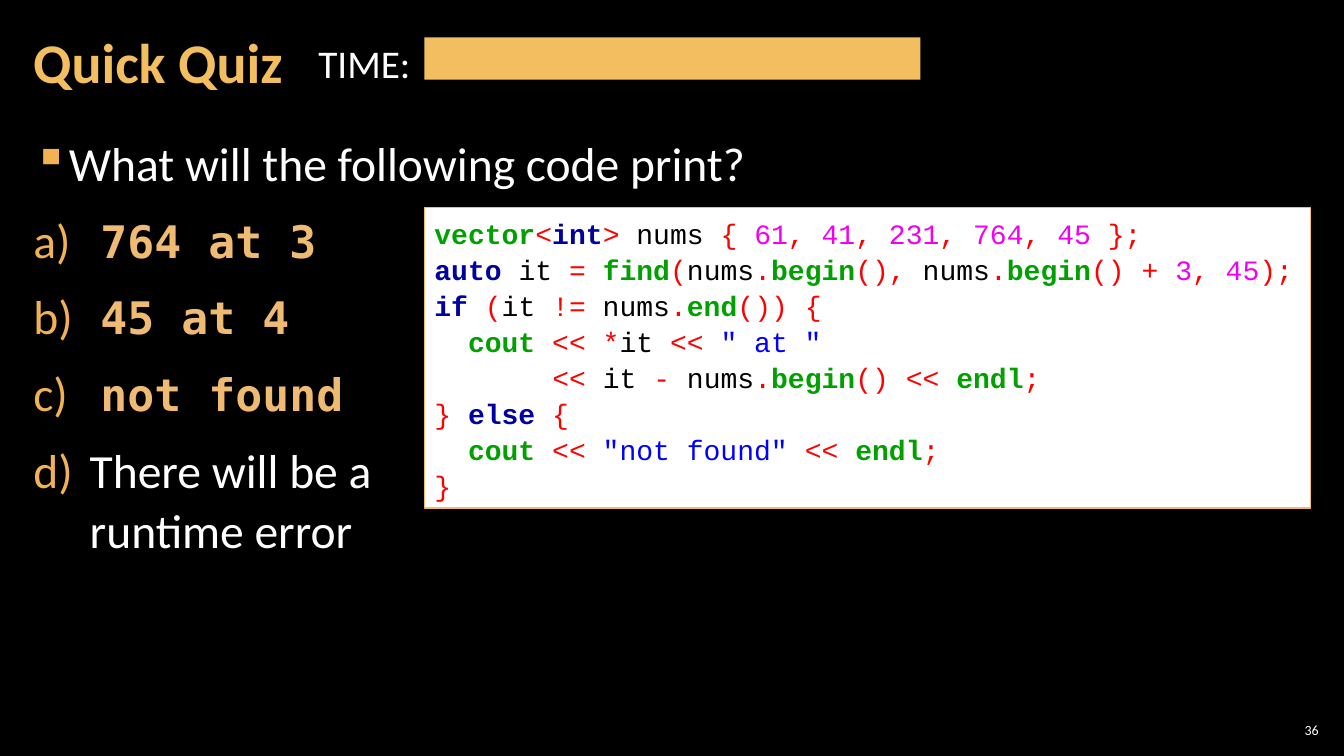
import dataclasses
import itertools

import pptx
import pptx.dml.color
import pptx.enum.shapes
import pptx.enum.text
import pptx.util
from lxml import etree

Inches = pptx.util.Inches
Pt = pptx.util.Pt
Anchor = pptx.enum.text.MSO_ANCHOR
Align = pptx.enum.text.PP_ALIGN
RECTANGLE = pptx.enum.shapes.MSO_SHAPE.RECTANGLE
DRAWING = "{http://schemas.openxmlformats.org/drawingml/2006/main}"


@dataclasses.dataclass(frozen=True)
class Theme:
    background: str = "000000"
    text: str = "FFFFFF"
    accent: str = "F3BE60"
    marker: str = "F2B254"
    answer: str = "EFBB72"
    panel: str = "FFFFFF"
    plain: str = "000000"
    symbol: str = "FF0000"
    keyword: str = "0000A0"
    library: str = "00A000"
    number: str = "F000F0"
    string: str = "0000FF"
    body_font: str = "Calibri"
    answer_font: str = "DejaVu Sans Mono"
    code_font: str = "Courier New"
    title_size: int = 40
    body_size: int = 34
    answer_size: int = 32
    timer_size: int = 28
    code_size: int = 20
    number_size: int = 10


THEME = Theme()
KEYWORDS = {"int", "auto", "if", "else"}
LIBRARY = {"vector", "find", "begin", "end", "cout", "endl"}

QUESTION = "What will the following code print?"
CODE_ANSWERS = ["764 at 3", "45 at 4", "not found"]
LAST_ANSWER = "There will be a \vruntime error"
CODE = """\
vector<int> nums { 61, 41, 231, 764, 45 };
auto it = find(nums.begin(), nums.begin() + 3, 45);
if (it != nums.end()) {
  cout << *it << " at "
       << it - nums.begin() << endl;
} else {
  cout << "not found" << endl;
}"""


def rgb(value):
    return pptx.dml.color.RGBColor.from_string(value)


def style(font, size, color, name=THEME.body_font, bold=False):
    font.name, font.size, font.bold = name, Pt(size), bold
    font.color.rgb = rgb(color)


def add_text_frame(page, left, top, width, height, side=0.12, edge=0.04,
                   anchor=Anchor.TOP, wrap=True):
    box = page.shapes.add_textbox(Inches(left), Inches(top), Inches(width), Inches(height))
    frame = box.text_frame
    frame.margin_left = frame.margin_right = Inches(side)
    frame.margin_top = frame.margin_bottom = Inches(edge)
    frame.vertical_anchor, frame.word_wrap = anchor, wrap
    return frame


def add_panel(page, left, top, width, height, fill):
    panel = page.shapes.add_shape(
        RECTANGLE, Inches(left), Inches(top), Inches(width), Inches(height))
    panel.shadow.inherit = False
    panel.fill.solid()
    panel.fill.fore_color.rgb = rgb(fill)
    panel.line.fill.background()
    return panel


def next_paragraph(frame, index):
    return frame.paragraphs[0] if index == 0 else frame.add_paragraph()


def set_marker(para, indent, tag, **attributes):
    """Give the paragraph a hanging bullet or number in the marker colour."""
    para.line_spacing = 1.05
    para.space_before = para.space_after = Pt(6)
    properties = para._p.get_or_add_pPr()
    properties.set("marL", str(Inches(indent)))
    properties.set("indent", str(-Inches(indent)))
    color = etree.SubElement(properties, DRAWING + "buClr")
    etree.SubElement(color, DRAWING + "srgbClr", val=THEME.marker)
    etree.SubElement(properties, DRAWING + tag, **attributes)


def add_title(page, left, top, width, height):
    frame = add_text_frame(page, left, top, width, height, anchor=Anchor.MIDDLE)
    para = frame.paragraphs[0]
    para.text, para.line_spacing = "Quick Quiz", 0.9
    style(para.font, THEME.title_size, THEME.accent, bold=True)


def add_timer(page, left, top, width, height):
    """Place the time label and the bar that fills the rest of the width."""
    label_width = 1.15
    frame = add_text_frame(page, left, top, label_width, height,
                           side=0.1, edge=0.05, wrap=False)
    para = frame.paragraphs[0]
    para.text = "TIME:"
    style(para.font, THEME.timer_size, THEME.text)
    add_panel(page, left + label_width, top + 0.03, width - label_width, 0.42, THEME.accent)


def add_question(page, left, top, width, height):
    frame = add_text_frame(page, left, top, width, height)
    for index, wording in enumerate([QUESTION, *CODE_ANSWERS, LAST_ANSWER]):
        para = next_paragraph(frame, index)
        if index == 0:
            set_marker(para, 0.33, "buChar", char="▪")
        else:
            set_marker(para, 0.56, "buAutoNum", type="alphaLcParenR")
        if wording in CODE_ANSWERS:
            for text in (" ", wording):
                span = para.add_run()
                span.text = text
                style(span.font, THEME.body_size, THEME.text)
            style(span.font, THEME.answer_size, THEME.answer, THEME.answer_font, True)
        else:
            para.text = wording
            style(para.font, THEME.body_size, THEME.text)


def code_color(token):
    if token in KEYWORDS:
        return THEME.keyword
    if token in LIBRARY:
        return THEME.library
    if token.isdigit():
        return THEME.number
    return THEME.plain if token.isalnum() or token.isspace() else THEME.symbol


def code_spans(line):
    """Yield each token of a line of code with its colour."""
    for position, part in enumerate(line.split('"')):
        if position % 2:
            yield f'"{part}"', THEME.string
            continue
        for _, letters in itertools.groupby(part, lambda c: (c.isalnum(), c.isspace())):
            token = "".join(letters)
            yield token, code_color(token)


def add_code(page, left, top, width, height):
    panel = add_panel(page, left, top, width, height, THEME.panel)
    panel.line.color.rgb = rgb(THEME.accent)
    panel.line.width = Pt(1)
    frame = panel.text_frame
    frame.word_wrap, frame.vertical_anchor = True, Anchor.MIDDLE
    for index, line in enumerate(CODE.splitlines()):
        para = next_paragraph(frame, index)
        para.alignment, para.line_spacing = Align.LEFT, 1.07
        para.font.name, para.font.size = THEME.code_font, Pt(THEME.code_size)
        for token, color in code_spans(line):
            span = para.add_run()
            span.text = token
            span.font.color.rgb = rgb(color)
            span.font.bold = color in (THEME.keyword, THEME.library)


def add_page_number(page, left, top, width, height):
    frame = add_text_frame(page, left, top, width, height, side=0.04, anchor=Anchor.MIDDLE)
    para = frame.paragraphs[0]
    para.text, para.alignment = "36", Align.RIGHT
    style(para.font, THEME.number_size, THEME.text)


def build_quiz(deck):
    page = deck.slides.add_slide(deck.slide_layouts[6])
    page.background.fill.solid()
    page.background.fill.fore_color.rgb = rgb(THEME.background)
    add_page_number(page, 12.65, 7.14, 0.47, 0.21)
    add_question(page, 0.21, 1.26, 12.91, 6.09)
    add_title(page, 0.21, 0.04, 10.47, 1.21)
    add_timer(page, 3.06, 0.34, 6.07, 0.57)
    add_code(page, 4.21, 2.06, 8.79, 2.98)


def main():
    deck = pptx.Presentation()
    deck.slide_width, deck.slide_height = Inches(13.33), Inches(7.5)
    build_quiz(deck)
    deck.save("out.pptx")


if __name__ == "__main__":
    main()
